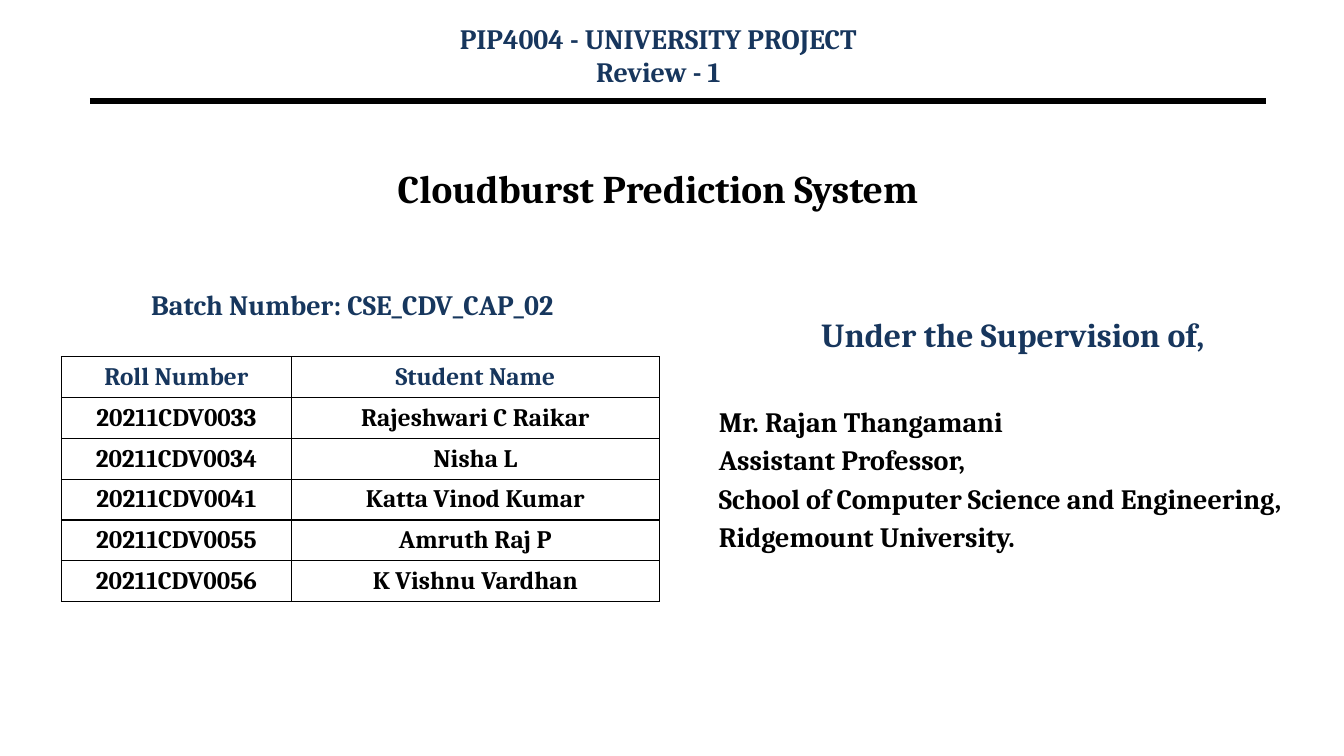
from typing import NamedTuple

from lxml.etree import SubElement
from pptx import Presentation
from pptx.dml.color import RGBColor as Rgb
from pptx.enum.shapes import MSO_CONNECTOR as Link
from pptx.enum.text import MSO_ANCHOR as Anchor, MSO_AUTO_SIZE as Fit, PP_ALIGN as Align
from pptx.oxml import parse_xml
from pptx.oxml.ns import nsdecls, qn
from pptx.util import Emu, Inches, Pt

FONT = "Cambria"
HEX = {"black": "000000", "navy": "17365D", "blue": "17375E"}
WIDE, HIGH = Inches(13.33), Inches(7.5)


class Box(NamedTuple):
    """Left, top, width and height in percent of the slide."""
    x: float
    y: float
    w: float
    h: float


class Line(NamedTuple):
    """One paragraph of text."""
    text: str
    size: float
    color: str = "black"
    align: Align = Align.CENTER
    before: float = 0


def across(share: float) -> Emu:
    return Emu(round(WIDE * share / 100))


def down(share: float) -> Emu:
    return Emu(round(HIGH * share / 100))


def place(shape, box: Box) -> None:
    shape.left, shape.top = across(box.x), down(box.y)
    shape.width, shape.height = across(box.w), down(box.h)


def write(frame, lines: list[Line], anchor: Anchor = Anchor.TOP) -> None:
    frame.word_wrap = True
    frame.vertical_anchor = anchor
    for i, line in enumerate(lines):
        para = frame.paragraphs[0] if i == 0 else frame.add_paragraph()
        para.alignment = line.align
        para.space_before = Pt(line.before)
        run = para.add_run()
        run.text = line.text
        font = run.font
        font.name, font.size, font.bold = FONT, Pt(line.size), True
        font.color.rgb = Rgb.from_string(HEX[line.color])


def edge(cell) -> None:
    props = cell._tc.get_or_add_tcPr()
    for i, side in enumerate(("lnL", "lnR", "lnT", "lnB")):
        props.insert(i, parse_xml(
            f'<a:{side} {nsdecls("a")} w="{Pt(1)}"><a:solidFill>'
            f'<a:srgbClr val="{HEX["black"]}"/></a:solidFill></a:{side}>'))


def roster(slide, box: Box, cols: list[float], rows: list[tuple[str, str]]) -> None:
    grid = slide.shapes.add_table(
        len(rows), len(cols), across(box.x), down(box.y), across(box.w), down(box.h)).table
    grid.first_row = grid.horz_banding = False
    for col, share in zip(grid.columns, cols):
        col.width = across(share)
    for r, row in enumerate(rows):
        grid.rows[r].height = down(box.h / len(rows))
        for c, text in enumerate(row):
            cell = grid.cell(r, c)
            cell.fill.background()
            cell.vertical_anchor = Anchor.MIDDLE
            write(cell.text_frame, [Line(text, 18, "black" if r else "navy")], Anchor.MIDDLE)
            edge(cell)


def rule(slide, left: float, right: float, y: float) -> None:
    bar = slide.shapes.add_connector(
        Link.STRAIGHT, across(left), down(y), across(right), down(y))
    bar.line.width = Pt(4.5)
    bar.line.color.rgb = Rgb.from_string(HEX["black"])
    SubElement(bar._element.spPr, qn("a:effectLst"))


HEAD = [Line("PIP4004 - UNIVERSITY PROJECT", 20, "navy"), Line("Review - 1", 20, "navy")]
TITLE = [Line("Cloudburst Prediction System", 28)]
BATCH = [Line("Batch Number: CSE_CDV_CAP_02", 20, "blue", Align.LEFT)]
GUIDE = [
    Line("Under the Supervision of,", 24, "navy"),
    Line("Mr. Rajan Thangamani", 20, align=Align.LEFT, before=35.5),
    *(Line(text, 20, align=Align.LEFT, before=3.4) for text in (
        "Assistant Professor,",
        "School of Computer Science and Engineering,",
        "Ridgemount University.")),
]
TEAM = [
    ("Roll Number", "Student Name"),
    ("20211CDV0033", "Rajeshwari C Raikar"),
    ("20211CDV0034", "Nisha L"),
    ("20211CDV0041", "Katta Vinod Kumar"),
    ("20211CDV0055", "Amruth Raj P"),
    ("20211CDV0056", "K Vishnu Vardhan"),
]


def main() -> None:
    deck = Presentation()
    deck.slide_width, deck.slide_height = WIDE, HIGH
    slide = deck.slides.add_slide(deck.slide_layouts[0])

    # Rule under the header
    rule(slide, 6.68, 94.22, 13.33)

    # Title and batch number
    title, batch = slide.shapes.title, slide.placeholders[1]
    place(title, Box(6.45, 14.13, 85, 21.47))
    write(title.text_frame, TITLE, Anchor.MIDDLE)
    place(batch, Box(10.5, 37.33, 32.56, 8))
    write(batch.text_frame, BATCH)
    for holder in (title, batch):
        holder.text_frame.auto_size = Fit.NONE

    # Students
    roster(slide, Box(4.58, 47.2, 44.48, 32.4), [17.1, 27.38], TEAM)

    # Supervisor and header
    for box, lines in ((Box(52.74, 40.93, 45.24, 35.47), GUIDE),
                       (Box(32.71, 2.13, 32.56, 8), HEAD)):
        note = slide.shapes.add_textbox(0, 0, 0, 0)
        place(note, box)
        write(note.text_frame, lines)

    deck.save("out.pptx")


if __name__ == "__main__":
    main()
